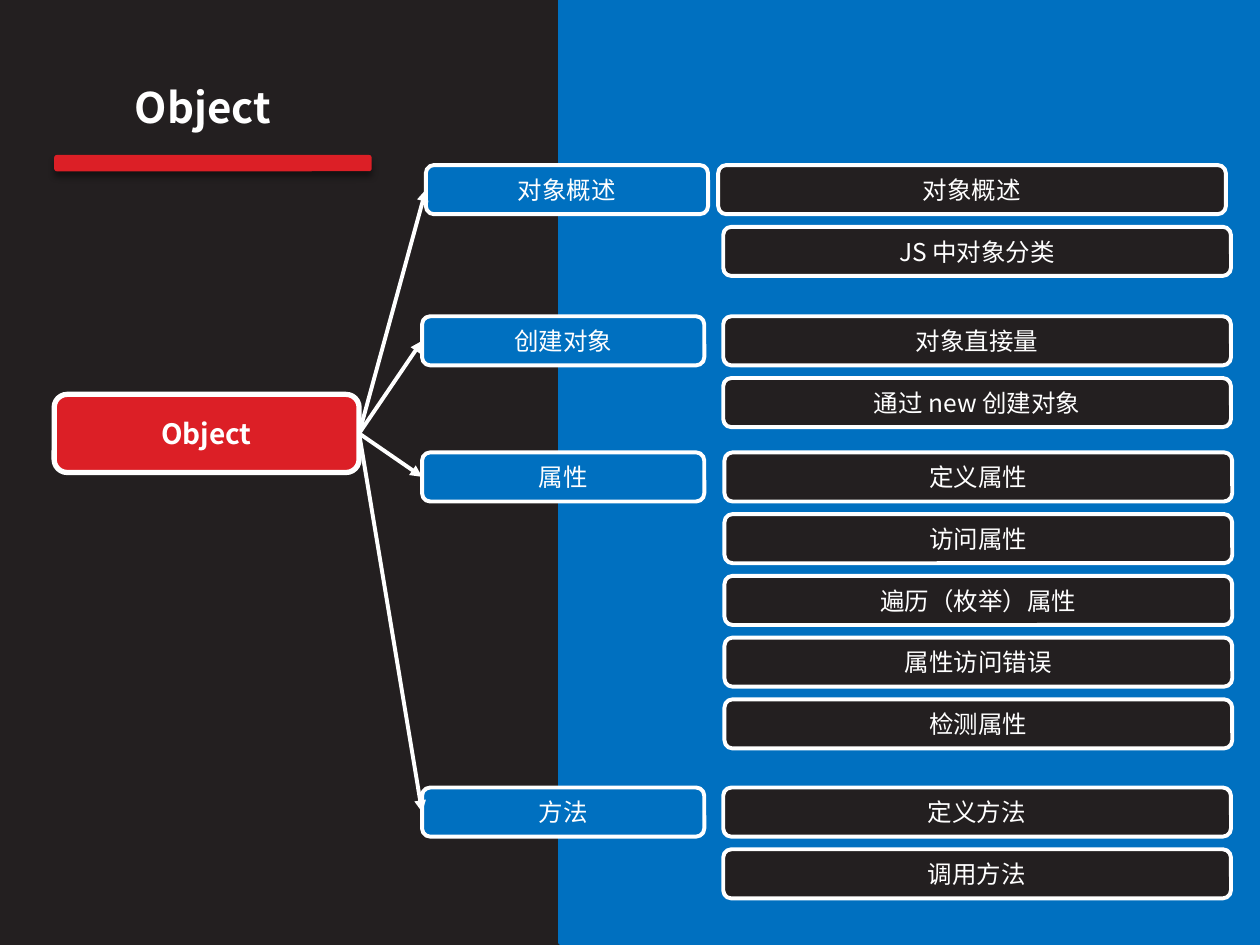
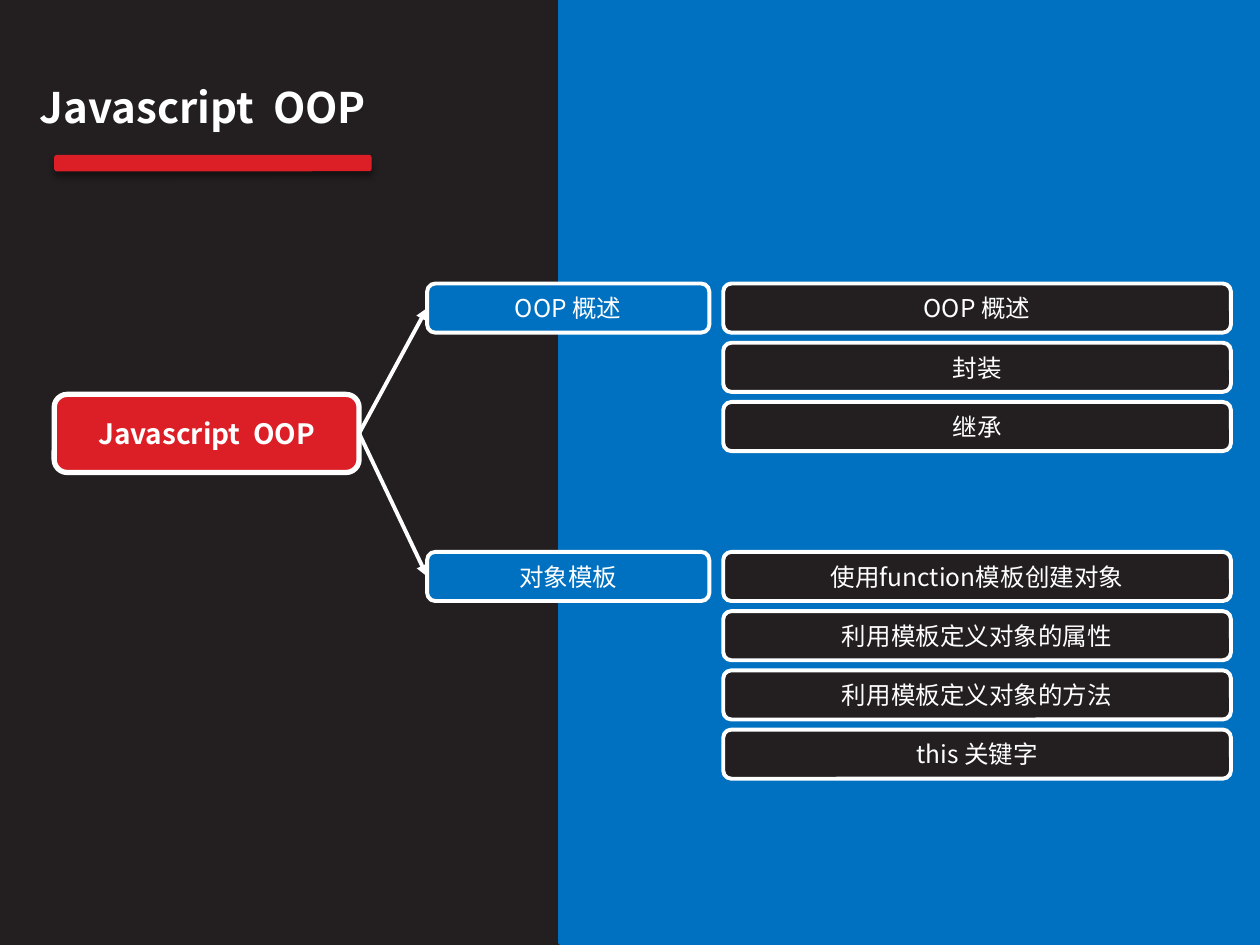
"""Build two topic-map slides that share a split background and a title rule."""
from dataclasses import dataclass

from lxml.etree import SubElement
from pptx import Presentation
from pptx.dml.color import RGBColor
from pptx.enum.shapes import MSO_CONNECTOR as Connector, MSO_SHAPE as Shape
from pptx.enum.text import MSO_ANCHOR as Anchor, MSO_AUTO_SIZE as AutoSize, PP_ALIGN as Align
from pptx.oxml.ns import qn
from pptx.util import Inches, Pt

FONT = "Noto Sans CJK SC"
DARK, BLUE, RED, WHITE, BLACK = "231F20", "0070C0", "DC1F26", "FFFFFF", "000000"
ROOT_LEFT, ROOT_TOP, ROOT_WIDTH, ROOT_HEIGHT = 0.43, 3.13, 2.42, 0.62
TOPIC_WIDTH, ITEM_WIDTH, ROW_HEIGHT = 2.24, 4.03, 0.39


@dataclass(frozen=True)
class Topic:
    label: str
    left: float
    top: float
    items: tuple[str, ...]
    item_left: float = 5.74
    item_shift: float = 0


@dataclass(frozen=True)
class TopicMap:
    title: str
    row_pitch: float
    topics: tuple[Topic, ...]


TOPIC_MAPS = (
    TopicMap("Object", 0.49, (
        Topic("对象概述", 3.38, 1.31, ("对象概述", "JS 中对象分类"), 5.7, 0.04),
        Topic("创建对象", 3.35, 2.51, ("对象直接量", "通过 new 创建对象")),
        Topic("属性", 3.35, 3.59, ("定义属性", "访问属性", "遍历（枚举）属性", "属性访问错误", "检测属性"), 5.75),
        Topic("方法", 3.35, 6.25, ("定义方法", "调用方法")),
    )),
    TopicMap("Javascript  OOP", 0.47, (
        Topic("OOP 概述", 3.39, 2.25, ("OOP 概述", "封装", "继承")),
        Topic("对象模板", 3.39, 4.38, (
            "使用function模板创建对象", "利用模板定义对象的属性", "利用模板定义对象的方法", "this 关键字")),
    )),
)


def rgb(value: str) -> RGBColor:
    """Turn a hex string into a colour."""
    return RGBColor.from_string(value)


def write(frame, text: str, size: float, bold: bool = False) -> None:
    """Put centred white text into a text frame."""
    frame.text = text
    frame.word_wrap = True
    paragraph = frame.paragraphs[0]
    paragraph.alignment = Align.CENTER
    for run in paragraph.runs:
        run.font.name = FONT
        run.font.size = Pt(size)
        run.font.bold = bold
        run.font.color.rgb = rgb(WHITE)
        SubElement(run.font._element, qn("a:ea"), typeface=FONT)


def add_block(slide, kind, left: float, top: float, width: float, height: float,
              fill: str, line: str | None = None, line_width: float = 2.25):
    """Add a flat filled shape, outlined if a line colour is given."""
    block = slide.shapes.add_shape(kind, Inches(left), Inches(top), Inches(width), Inches(height))
    block.shadow.inherit = False
    block.fill.solid()
    block.fill.fore_color.rgb = rgb(fill)
    if line:
        block.line.color.rgb = rgb(line)
        block.line.width = Pt(line_width)
    else:
        block.line.fill.background()
    return block


def add_label(slide, text: str, left: float, top: float, width: float, fill: str) -> None:
    """Add one rounded row of the map."""
    row = add_block(slide, Shape.ROUNDED_RECTANGLE, left, top, width, ROW_HEIGHT, fill, WHITE)
    row.text_frame.vertical_anchor = Anchor.MIDDLE
    write(row.text_frame, text, 14)


def add_arrow(slide, topic: Topic) -> None:
    """Point an arrow from the root to a topic."""
    arrow = slide.shapes.add_connector(
        Connector.STRAIGHT, Inches(ROOT_LEFT + ROOT_WIDTH), Inches(ROOT_TOP + ROOT_HEIGHT / 2),
        Inches(topic.left), Inches(topic.top + ROW_HEIGHT / 2))
    arrow.line.color.rgb = rgb(WHITE)
    arrow.line.width = Pt(2.25)
    SubElement(arrow.line._get_or_add_ln(), qn("a:tailEnd"), type="triangle")
    SubElement(arrow._element.spPr, qn("a:effectLst"))


def add_drop_shadow(block) -> None:
    """Give a shape a soft shadow straight below it."""
    effects = block._element.spPr.find(qn("a:effectLst"))
    shadow = SubElement(effects, qn("a:outerShdw"), blurRad=str(Pt(4)), dist=str(Pt(3)),
                        dir="5400000", algn="ctr", rotWithShape="0")
    color = SubElement(shadow, qn("a:srgbClr"), val=BLACK)
    SubElement(color, qn("a:alpha"), val="43000")


def prepare_layout(layout, slide) -> None:
    """Put the band, the title rule and the title position on the layout."""
    for placeholder in list(layout.placeholders):
        if placeholder.placeholder_format.idx:
            placeholder.element.getparent().remove(placeholder.element)
    title = layout.placeholders[0]
    title.left, title.top, title.width, title.height = map(Inches, (-0.2, 0.6, 3.62, 0.71))
    band = add_block(slide, Shape.RECTANGLE, 4.45, 0, 5.55, 7.48, BLUE, BLUE, 3)
    rule = add_block(slide, Shape.ROUNDED_RECTANGLE, 0.43, 1.23, 2.52, 0.13, RED)
    add_drop_shadow(rule)
    for decoration in (band, rule):
        title.element.addprevious(decoration.element)


def draw_map(slide, topic_map: TopicMap) -> None:
    """Draw the title, the root and every topic with its items."""
    heading = slide.shapes.title.text_frame
    heading.auto_size = AutoSize.NONE
    heading.vertical_anchor = Anchor.TOP
    write(heading, topic_map.title, 24, True)
    root = add_block(slide, Shape.ROUNDED_RECTANGLE, ROOT_LEFT, ROOT_TOP, ROOT_WIDTH, ROOT_HEIGHT,
                     RED, WHITE, 3)
    root.text_frame.vertical_anchor = Anchor.MIDDLE
    write(root.text_frame, topic_map.title, 16, True)
    for topic in topic_map.topics:
        add_label(slide, topic.label, topic.left, topic.top, TOPIC_WIDTH, BLUE)
        add_arrow(slide, topic)
        for index, item in enumerate(topic.items):
            add_label(slide, item, topic.item_left + index * topic.item_shift,
                      topic.top + index * topic_map.row_pitch, ITEM_WIDTH, DARK)


def main() -> None:
    """Build and save the presentation."""
    deck = Presentation()
    deck.slide_width, deck.slide_height = Inches(10), Inches(7.5)
    background = deck.slide_master.background.fill
    background.solid()
    background.fore_color.rgb = rgb(DARK)
    layout = deck.slide_layouts[5]
    slides = [deck.slides.add_slide(layout) for _ in TOPIC_MAPS]
    prepare_layout(layout, slides[0])
    for slide, topic_map in zip(slides, TOPIC_MAPS):
        draw_map(slide, topic_map)
    deck.save("out.pptx")


if __name__ == "__main__":
    main()
